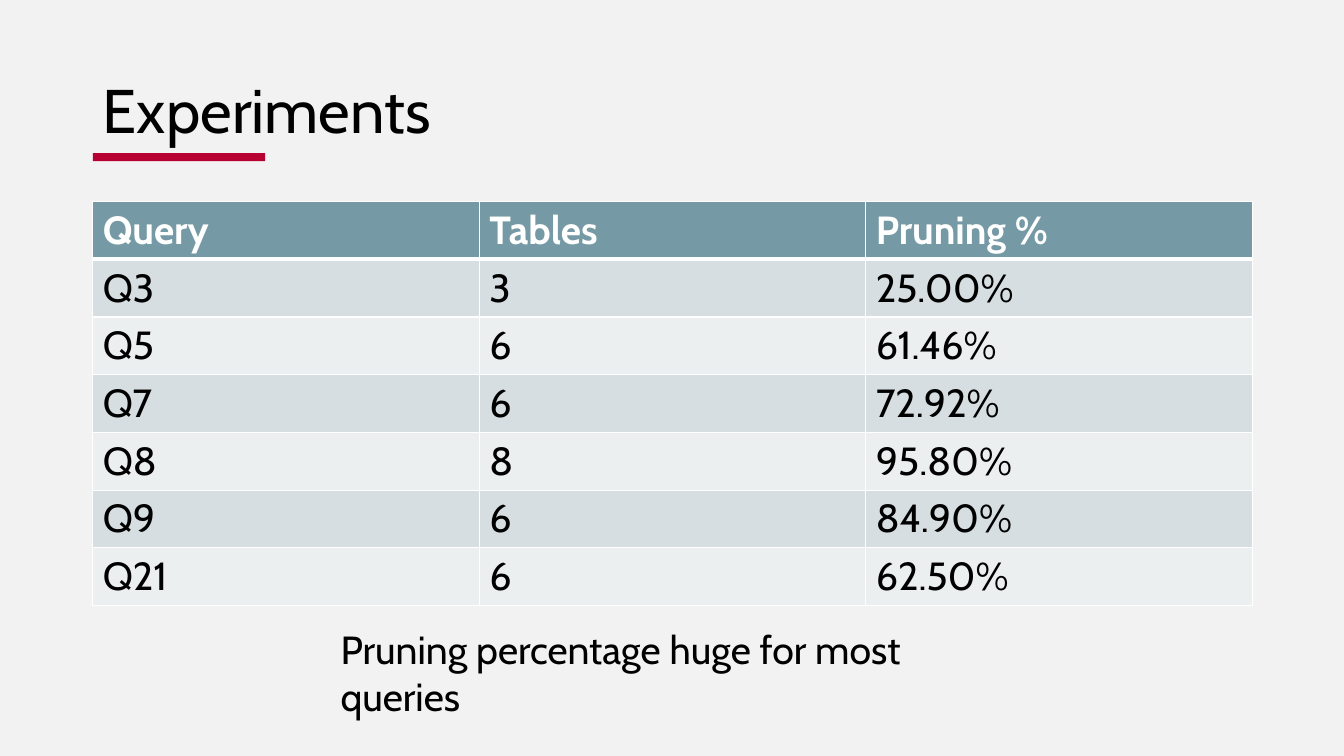
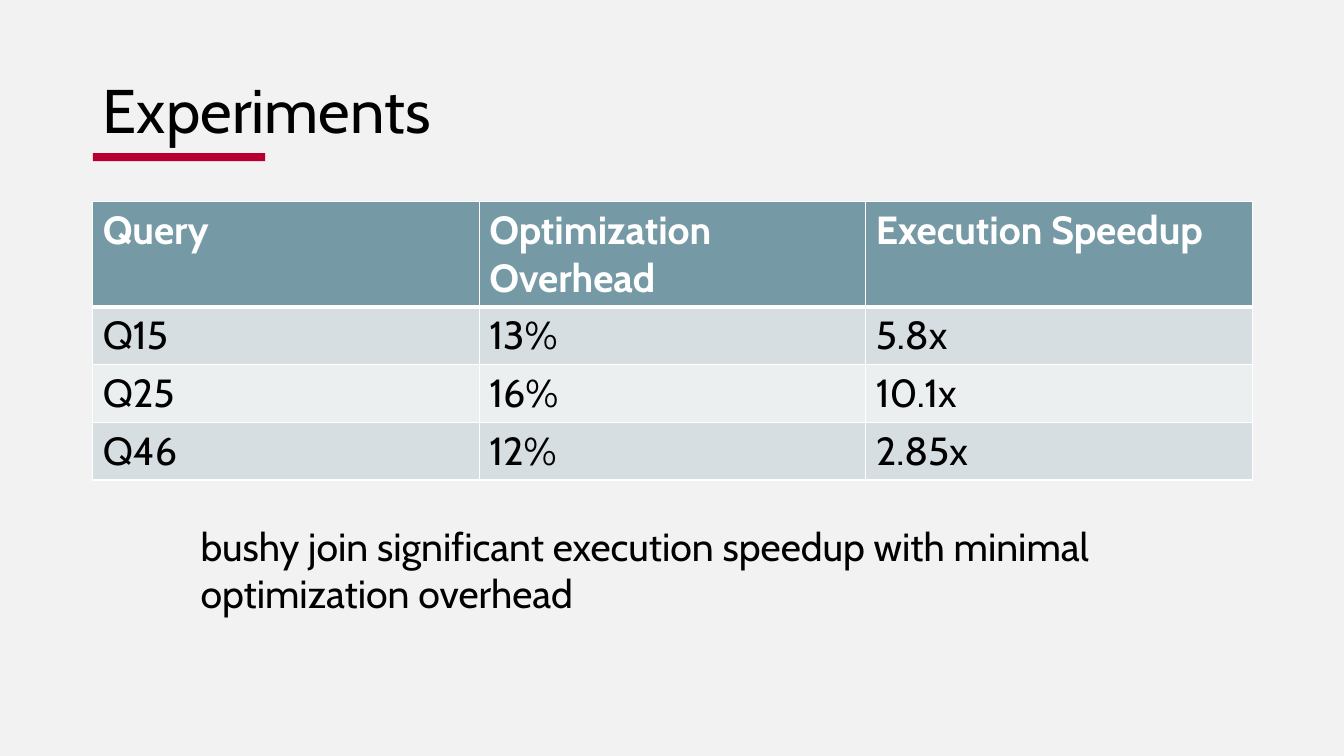
from lxml import etree
from pptx import Presentation
from pptx.dml.color import RGBColor
from pptx.enum import shapes, text
from pptx.oxml import ns
from pptx.util import Inches, Pt

BACKGROUND = RGBColor(0xF2, 0xF2, 0xF2)
ACCENT = RGBColor(0xB7, 0x00, 0x31)
HEADER = RGBColor(0x75, 0x9A, 0xA5)
BANDS = (RGBColor(0xEC, 0xEF, 0xF0), RGBColor(0xD6, 0xDE, 0xE1))
BLACK = RGBColor(0x00, 0x00, 0x00)
WHITE = RGBColor(0xFF, 0xFF, 0xFF)

FONT = "Cabin"
TITLE_SIZE = 44
BODY_SIZE = 28
MARGIN = 0.92
CONTENT_WIDTH = 11.5
TABLE_TOP = 2
ROW_HEIGHT = 0.57
TITLE_ONLY = 5


class Deck:
    """Holds the shared style and the slide being built."""

    def __init__(self):
        self.prs = Presentation()
        self.prs.slide_width = Inches(13.33)
        self.prs.slide_height = Inches(7.5)
        fill = self.prs.slide_master.background.fill
        fill.solid()
        fill.fore_color.rgb = BACKGROUND
        self.slide = None

    def add_slide(self, heading):
        self.slide = self.prs.slides.add_slide(self.prs.slide_layouts[TITLE_ONLY])
        self.title(heading)
        self.underline()

    def add_text(self, paragraph, words, size=BODY_SIZE, color=BLACK, bold=False):
        run = paragraph.add_run()
        run.text = words
        run.font.name = FONT
        run.font.size = Pt(size)
        run.font.bold = bold
        run.font.color.rgb = color

    def title(self, heading):
        title = self.slide.shapes.title
        title.left, title.top = Inches(MARGIN), Inches(0.4)
        title.width, title.height = Inches(CONTENT_WIDTH), Inches(1.45)
        frame = title.text_frame
        frame.auto_size = text.MSO_AUTO_SIZE.NONE
        frame.vertical_anchor = text.MSO_ANCHOR.MIDDLE
        paragraph = frame.paragraphs[0]
        paragraph.alignment = text.PP_ALIGN.LEFT
        paragraph.line_spacing = 0.9
        self.add_text(paragraph, heading, TITLE_SIZE)

    def underline(self):
        bar = self.slide.shapes.add_shape(
            shapes.MSO_SHAPE.RECTANGLE,
            Inches(MARGIN), Inches(1.52), Inches(1.71), Inches(0.08))
        bar.shadow.inherit = False
        bar.fill.solid()
        bar.fill.fore_color.rgb = ACCENT
        bar.line.fill.background()

    def borders(self, cell, bottom):
        """Draw white cell borders, 1 pt except for the given bottom width."""
        properties = cell._tc.get_or_add_tcPr()
        for side, width in (("L", 1), ("R", 1), ("T", 1), ("B", bottom)):
            line = etree.SubElement(properties, ns.qn(f"a:ln{side}"), w=str(Pt(width)))
            solid = etree.SubElement(line, ns.qn("a:solidFill"))
            etree.SubElement(solid, ns.qn("a:srgbClr"), val=str(WHITE))

    def table(self, rows, header_height=ROW_HEIGHT):
        heights = [header_height] + [ROW_HEIGHT] * (len(rows) - 1)
        table = self.slide.shapes.add_table(
            len(rows), len(rows[0]), Inches(MARGIN), Inches(TABLE_TOP),
            Inches(CONTENT_WIDTH), Inches(sum(heights))).table
        for r, values in enumerate(rows):
            is_header = r == 0
            table.rows[r].height = Inches(heights[r])
            for c, value in enumerate(values):
                cell = table.cell(r, c)
                self.borders(cell, 3 if is_header else 1)
                cell.fill.solid()
                cell.fill.fore_color.rgb = HEADER if is_header else BANDS[r % 2]
                self.add_text(cell.text_frame.paragraphs[0], value,
                              color=WHITE if is_header else BLACK, bold=is_header)

    def takeaway(self, words, left, top, width, height):
        box = self.slide.shapes.add_textbox(
            Inches(left), Inches(top), Inches(width), Inches(height))
        frame = box.text_frame
        frame.word_wrap = True
        frame.auto_size = text.MSO_AUTO_SIZE.SHAPE_TO_FIT_TEXT
        self.add_text(frame.paragraphs[0], words)


def main():
    deck = Deck()

    deck.add_slide("Experiments")
    deck.table([
        ("Query", "Tables", "Pruning %"),
        ("Q3", "3", "25.00%"),
        ("Q5", "6", "61.46%"),
        ("Q7", "6", "72.92%"),
        ("Q8", "8", "95.80%"),
        ("Q9", "6", "84.90%"),
        ("Q21", "6", "62.50%"),
    ])
    deck.takeaway("Pruning percentage huge for most queries", 3.28, 6.15, 6.77, 0.57)

    deck.add_slide("Experiments")
    deck.table([
        ("Query", "Optimization Overhead", "Execution Speedup"),
        ("Q15", "13%", "5.8x"),
        ("Q25", "16%", "10.1x"),
        ("Q46", "12%", "2.85x"),
    ], header_height=1.02)
    deck.takeaway(
        "bushy join significant execution speedup with minimal optimization overhead",
        1.89, 5.13, 9.21, 1.04)

    deck.prs.save("out.pptx")


if __name__ == "__main__":
    main()
